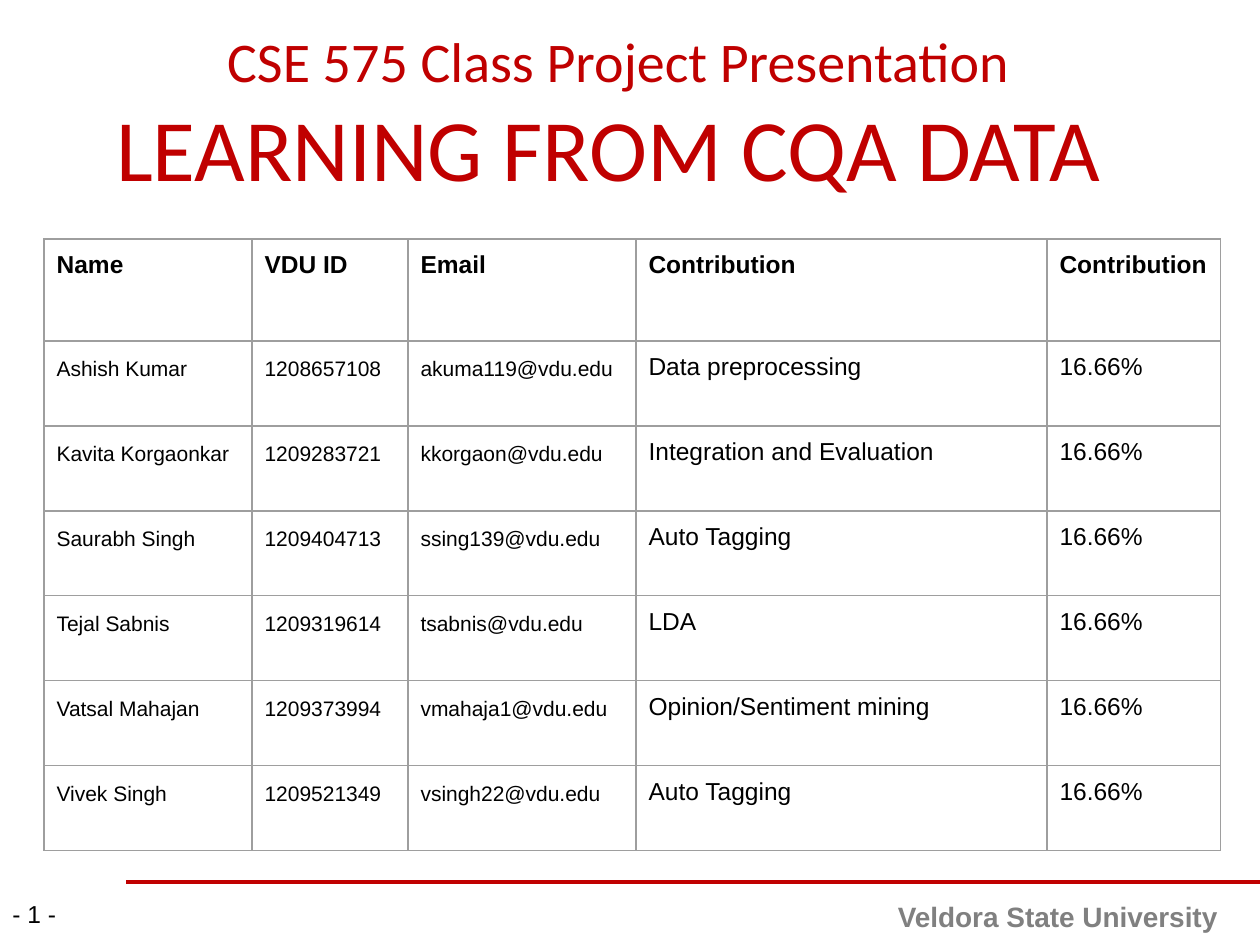
from dataclasses import dataclass

from lxml import etree
from pptx import Presentation
from pptx.dml.color import RGBColor
from pptx.enum import shapes, text
from pptx.oxml import ns
from pptx.util import Emu, Inches, Pt

SCALE = Inches(1) / 126
RED = RGBColor(0xC0, 0x00, 0x00)
GRAY = RGBColor(0x80, 0x80, 0x80)
EDGE = RGBColor(0x9E, 0x9E, 0x9E)
BLACK = RGBColor(0x00, 0x00, 0x00)
LEFT, CENTER, RIGHT = (text.PP_ALIGN.LEFT, text.PP_ALIGN.CENTER,
                       text.PP_ALIGN.RIGHT)


def px(n: int) -> Emu:
    return Emu(round(n * SCALE))


@dataclass
class Line:
    words: str
    size: int
    color: RGBColor = BLACK
    face: str = "Arial"
    bold: bool = False
    align: text.PP_ALIGN = LEFT
    space: float = 1.0


@dataclass
class Box:
    x: int
    y: int
    w: int
    h: int
    lines: list[Line]
    anchor: text.MSO_ANCHOR = text.MSO_ANCHOR.TOP


BOXES = [
    Box(620, 893, 610, 52,
        [Line("Veldora State University", 16, GRAY, bold=True, align=RIGHT)]),
    Box(83, 11, 1071, 203,
        [Line("CSE 575 Class Project Presentation", 32, RED, "Calibri",
              align=CENTER),
         Line("LEARNING FROM CQA DATA ", 50, RED, "Calibri", align=CENTER)],
        text.MSO_ANCHOR.MIDDLE),
    Box(0, 893, 95, 52, [Line("- 1 -", 14)]),
]

# Table content
HEAD = ("Name", "VDU ID", "Email", "Contribution", "Contribution")
SHARE = "16.66%"
TEAM = [
    ("Ashish Kumar", "1208657108", "akuma119", "Data preprocessing"),
    ("Kavita Korgaonkar", "1209283721", "kkorgaon",
     "Integration and Evaluation"),
    ("Saurabh Singh", "1209404713", "ssing139", "Auto Tagging"),
    ("Tejal Sabnis", "1209319614", "tsabnis", "LDA"),
    ("Vatsal Mahajan", "1209373994", "vmahaja1", "Opinion/Sentiment mining"),
    ("Vivek Singh", "1209521349", "vsingh22", "Auto Tagging"),
]
COLS = (208, 156, 228, 411, 174)
ROWS = (102,) + (85,) * len(TEAM)


def write(frame, lines: list[Line]) -> None:
    for i, line in enumerate(lines):
        para = frame.add_paragraph() if i else frame.paragraphs[0]
        para.add_run().text = line.words
        para.alignment = line.align
        para.line_spacing = line.space
        font = para.font
        font.name, font.size, font.bold = line.face, Pt(line.size), line.bold
        font.color.rgb = line.color


def add_box(slide, box: Box) -> None:
    shape = slide.shapes.add_textbox(px(box.x), px(box.y), px(box.w), px(box.h))
    frame = shape.text_frame
    frame.word_wrap = True
    frame.vertical_anchor = box.anchor
    write(frame, box.lines)


def add_rule(slide) -> None:
    rule = slide.shapes.add_connector(shapes.MSO_CONNECTOR.STRAIGHT,
                                      px(126), px(882), px(1260), px(882))
    rule.line.color.rgb = RED
    rule.line.width = Pt(2)
    etree.SubElement(rule._element.spPr, ns.qn("a:effectLst"))


def add_edges(cell) -> None:
    props = cell._tc.get_or_add_tcPr()
    for i, side in enumerate(("lnL", "lnR", "lnT", "lnB")):
        edge = etree.Element(ns.qn(f"a:{side}"), w=str(Pt(0.75)))
        fill = etree.SubElement(edge, ns.qn("a:solidFill"))
        etree.SubElement(fill, ns.qn("a:srgbClr"), val=str(EDGE))
        props.insert(i, edge)


def add_cell(cell, line: Line) -> None:
    cell.margin_top = cell.margin_bottom = Inches(0.1)
    cell.fill.background()
    write(cell.text_frame, [line])
    add_edges(cell)


def add_grid(slide) -> None:
    grid = slide.shapes.add_table(len(ROWS), len(COLS), px(44), px(239),
                                  px(sum(COLS)), px(sum(ROWS))).table
    grid.first_row = grid.horz_banding = False
    for col, wide in zip(grid.columns, COLS):
        col.width = px(wide)
    for row, high in zip(grid.rows, ROWS):
        row.height = px(high)
    for c, words in enumerate(HEAD):
        add_cell(grid.cell(0, c), Line(words, 14, bold=True))
    for r, (name, code, user, task) in enumerate(TEAM, 1):
        for c, words in enumerate((name, code, f"{user}@vdu.edu", task, SHARE)):
            small = c < 3
            add_cell(grid.cell(r, c), Line(words, 12 if small else 14,
                                           space=1.15 if small else 1.0))


def main() -> None:
    deck = Presentation()
    deck.slide_width, deck.slide_height = px(1260), px(945)
    slide = deck.slides.add_slide(deck.slide_layouts[6])
    # Footer rule, text boxes, then the team table
    add_rule(slide)
    for box in BOXES:
        add_box(slide, box)
    add_grid(slide)
    deck.save("out.pptx")


if __name__ == "__main__":
    main()
